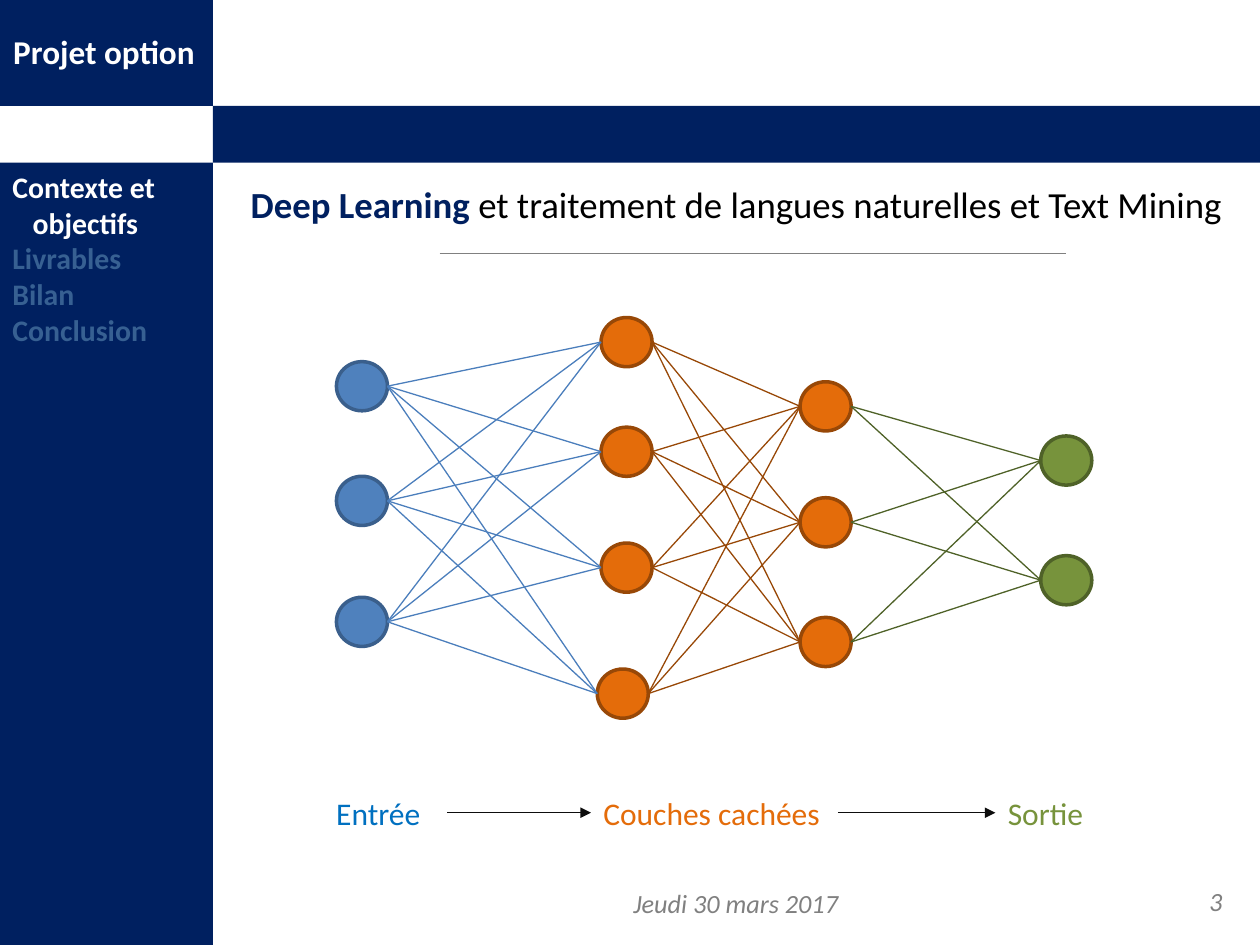
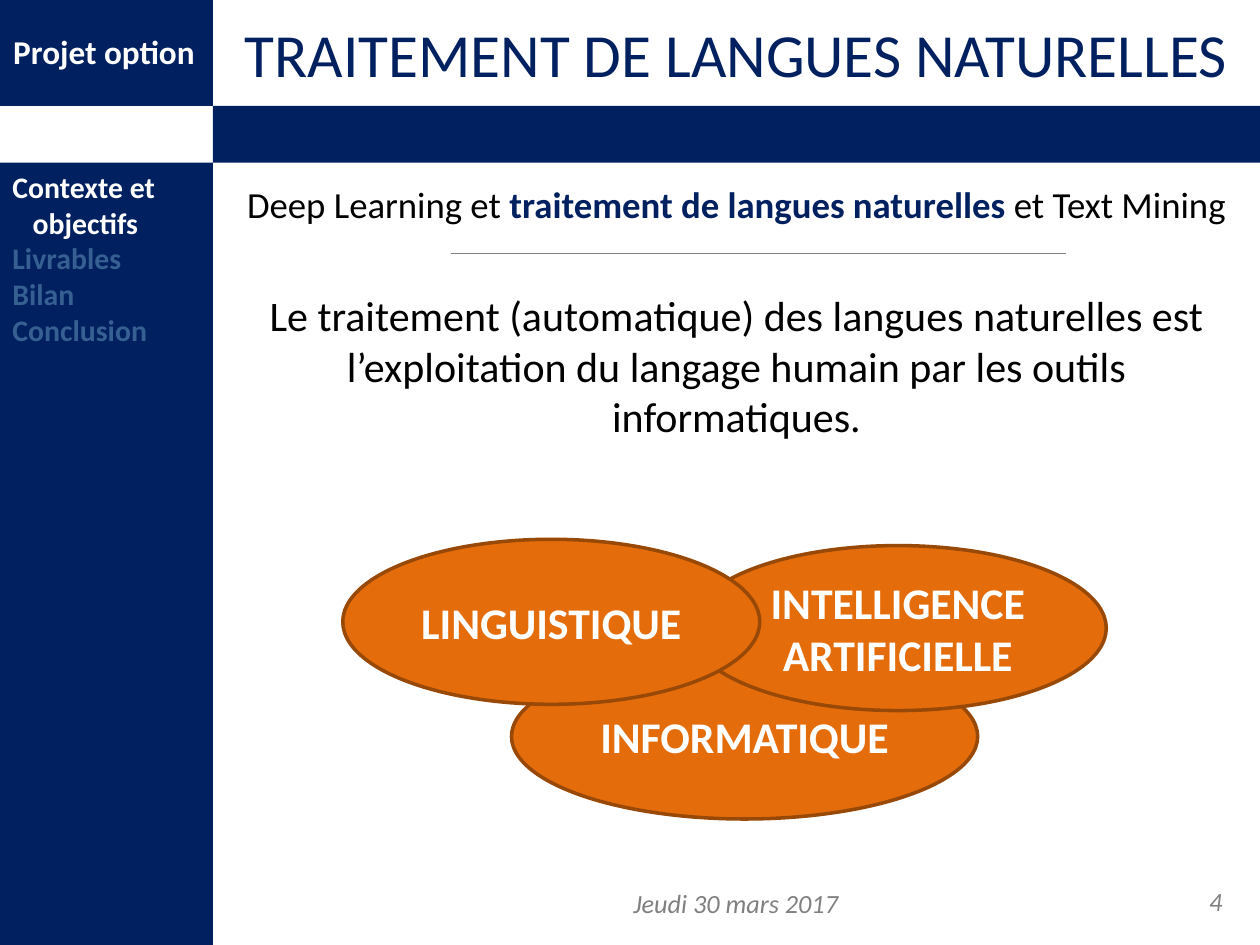
from itertools import product
from lxml.etree import SubElement
from pptx import Presentation
from pptx.dml.color import RGBColor
from pptx.enum.shapes import MSO_CONNECTOR, MSO_SHAPE
from pptx.enum.text import MSO_ANCHOR, MSO_AUTO_SIZE, PP_ALIGN
from pptx.oxml.ns import qn
from pptx.util import Inches, Pt

COLS, ROWS = 100, 75
NAVY, WHITE, BLACK, GREY = "002060", "FFFFFF", "000000", "808080"
ORANGE, BROWN, GREEN, MOSS = "E46C0A", "984807", "77933C", "4F6228"
BLUE, STEEL, SKY, DIM = "4F81BD", "3A5F8C", "4B7EBC", "376092"
LEFT, MID, RIGHT = PP_ALIGN.LEFT, PP_ALIGN.CENTER, PP_ALIGN.RIGHT
SIDE, TOP, BAND = 16.9, 8.4, 4.5
MAIN = COLS - SIDE
HEAD = (SIDE, 0, MAIN, TOP)
BODY = (SIDE, TOP + BAND, MAIN, ROWS - TOP - BAND)
MENU = (0, TOP + BAND, SIDE, ROWS - TOP - BAND)


def unit(cells):
    """Turn grid cells into a length."""
    return Inches(cells / 10)


def color(code):
    """Turn a hex string into a colour."""
    return RGBColor.from_string(code)


def apply(item, form):
    """Set each attribute of an item from a dict."""
    for key, value in form.items():
        setattr(item, key, value)


def inside(box, x, y, wide, high):
    """Shift a box by the corner of its parent."""
    return box[0] + x, box[1] + y, wide, high


def write(frame, lines, size, align=LEFT, **form):
    """Fill a frame with lines, each a list of (text, hex, bold) runs."""
    apply(frame, {"word_wrap": True, "auto_size": MSO_AUTO_SIZE.NONE})
    for row, runs in enumerate(lines):
        para = frame.paragraphs[0] if row == 0 else frame.add_paragraph()
        para.alignment = align
        for words, code, bold in runs:
            run = para.add_run()
            run.text = words
            apply(run.font, {"name": "Calibri", "size": Pt(size), "bold": bold, **form})
            run.font.color.rgb = color(code)


def label(slide, box, lines, size, align=LEFT, **form):
    """Add a text box."""
    frame = slide.shapes.add_textbox(*map(unit, box)).text_frame
    write(frame, lines, size, align, **form)
    return frame


def shape(slide, kind, box, fill, edge=None):
    """Add a filled shape with an optional outline."""
    item = slide.shapes.add_shape(kind, *map(unit, box))
    item.shadow.inherit = False
    item.fill.solid()
    item.fill.fore_color.rgb = color(fill)
    if edge:
        item.line.color.rgb = color(edge)
        item.line.width = Pt(2)
    else:
        item.line.fill.background()
    return item


def link(slide, start, end, code, arrow=False):
    """Draw a thin line, with an arrowhead at its end if asked."""
    line = slide.shapes.add_connector(MSO_CONNECTOR.STRAIGHT, *map(unit, (*start, *end)))
    line.line.color.rgb = color(code)
    line.line.width = Pt(0.75)
    props = line._element.spPr
    if arrow:
        SubElement(props.find(qn("a:ln")), qn("a:tailEnd"), type="triangle")
    SubElement(props, qn("a:effectLst"))


def menu(slide, box):
    """List the sections, with the current one lit."""
    names = [("Contexte et", WHITE), ("objectifs", WHITE), ("Livrables", DIM),
             ("Bilan", DIM), ("Conclusion", DIM)]
    frame = label(slide, inside(box, 0, 0, box[2], 15.3),
                  [[(name, code, True)] for name, code in names], 17)
    frame.paragraphs[1]._p.get_or_add_pPr().set("marL", str(unit(1.6)))


def footer(slide, box, number):
    """Place the date and the slide number."""
    parts = [(32.1, 57, 18.8, "Jeudi 30 mars 2017", MID),
             (55.9, 56.9, 25.2, str(number), RIGHT)]
    for x, y, wide, words, align in parts:
        label(slide, inside(box, x, y, wide, 3.5), [[(words, GREY, False)]],
              15, align, italic=True)


def topic(slide, box, runs, start):
    """Place the topic line and the rule below it."""
    label(slide, inside(box, 0, 1, box[2], 4.5), [runs], 21, MID)
    level = box[1] + 7.2
    link(slide, (box[0] + start, level), (box[0] + 67.7, level), GREY)


def base(deck, number, title=None):
    """Start a slide with the shared bands, menu, footer and title."""
    slide = deck.slides.add_slide(deck.slide_layouts[5 if title else 6])
    for box in (MENU, (SIDE, TOP, MAIN, BAND), (0, 0, SIDE, TOP)):
        shape(slide, MSO_SHAPE.RECTANGLE, box, NAVY)
    label(slide, (-0.2, 2, SIDE, 4.2), [[("Projet option", WHITE, True)]], 19, MID)
    footer(slide, BODY, number)
    menu(slide, MENU)
    if title:
        head = slide.shapes.title
        apply(head, dict(zip(("left", "top", "width", "height"), map(unit, HEAD))))
        write(head.text_frame, [[(title, NAVY, False)]], 35, MID)
        head.text_frame.vertical_anchor = MSO_ANCHOR.MIDDLE
    return slide


def network(slide, box):
    """Draw the layers of neurons and link each one to the next."""
    wide, high = 4.05, 3.9
    layers = [
        (BLUE, STEEL, SKY, [(0, 3.5), (0, 12.6), (0, 22.2)]),
        (ORANGE, BROWN, BROWN, [(21, 0), (21, 8.7), (21, 17.9), (20.7, 27.9)]),
        (ORANGE, BROWN, MOSS, [(36.8, 5.1), (36.8, 14.3), (36.8, 23.8)]),
        (GREEN, MOSS, None, [(55.9, 9.4), (55.9, 18.9)]),
    ]
    for fill, edge, _, spots in layers:
        for x, y in spots:
            shape(slide, MSO_SHAPE.OVAL, inside(box, x, y, wide, high), fill, edge)
    for (_, _, code, near), (_, _, _, far) in zip(layers, layers[1:]):
        for (x, y), (u, v) in product(near, far):
            start = box[0] + x + wide, box[1] + y + high / 2
            link(slide, start, (box[0] + u, box[1] + v + high / 2), code)


def legend(slide, box):
    """Name the layers, with arrows in between."""
    parts = [(0, 9.8, "Entrée", "0070C0"), (21.2, 19.6, "Couches cachées", ORANGE),
             (53.3, 8.8, "Sortie", GREEN)]
    for x, wide, words, code in parts:
        label(slide, inside(box, x, 0, wide, box[3]), [[(words, code, False)]], 18)
    level = box[1] + box[3] / 2
    for (x, wide, *_), (end, *_) in zip(parts, parts[1:]):
        link(slide, (box[0] + x + wide, level), (box[0] + end, level), "0D0D0D", True)


def fields(slide, box):
    """Draw the overlapping fields of study."""
    parts = [(13.4, 9.1, 37, "INFORMATIQUE"),
             (27.5, 0.5, 33.1, "INTELLIGENCE ARTIFICIELLE"),
             (0, 0, 33.1, "LINGUISTIQUE")]
    for x, y, wide, words in parts:
        oval = shape(slide, MSO_SHAPE.OVAL, inside(box, x, y, wide, 13.1), ORANGE, BROWN)
        write(oval.text_frame, [[(words, WHITE, True)]], 25, MID)
        oval.text_frame.vertical_anchor = MSO_ANCHOR.MIDDLE


def learning(deck):
    """Build the slide on deep learning."""
    slide = base(deck, 3)
    topic(slide, BODY, [("Deep Learning ", NAVY, True),
                        ("et traitement de langues naturelles et Text Mining", BLACK, False)], 18)
    network(slide, inside(BODY, 9.8, 12.3, 59.9, 31.8))
    legend(slide, inside(BODY, 8.8, 49.6, 62.1, 4))


def language(deck):
    """Build the slide on natural language processing."""
    slide = base(deck, 4, "TRAITEMENT DE LANGUES NATURELLES")
    topic(slide, BODY, [("Deep Learning et ", BLACK, False),
                        ("traitement de langues naturelles ", NAVY, True),
                        ("et Text Mining", BLACK, False)], 18.9)
    fields(slide, inside(BODY, 10.3, 29.9, 60.6, 22.2))
    words = ("Le traitement (automatique) des langues naturelles est l’exploitation "
             "du langage humain par les outils informatiques.")
    label(slide, inside(BODY, 0, 9.6, MAIN, 13.1), [[(words, BLACK, False)]], 24, MID)


deck = Presentation()
apply(deck, {"slide_width": unit(COLS), "slide_height": unit(ROWS)})
learning(deck)
language(deck)
deck.save("out.pptx")
